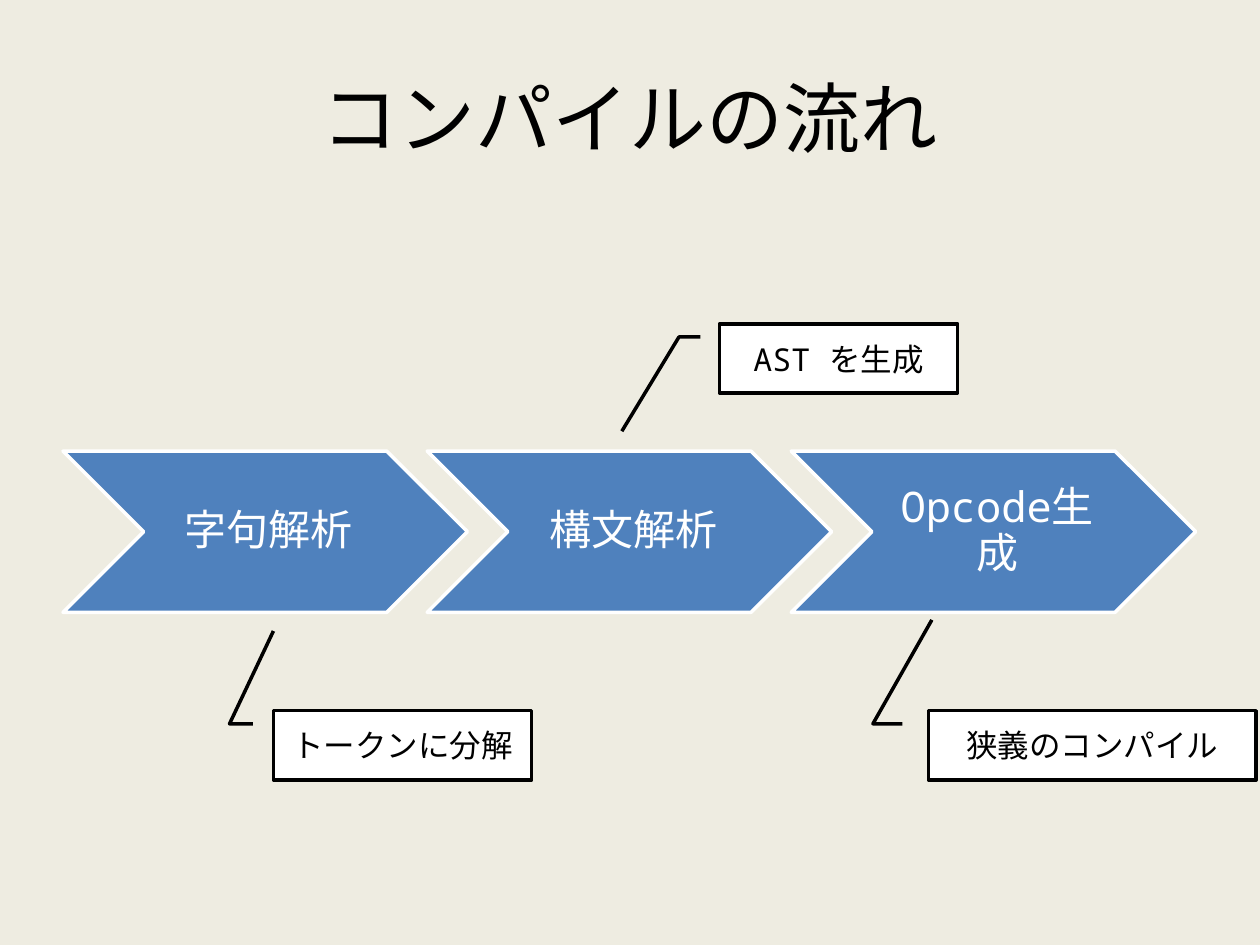
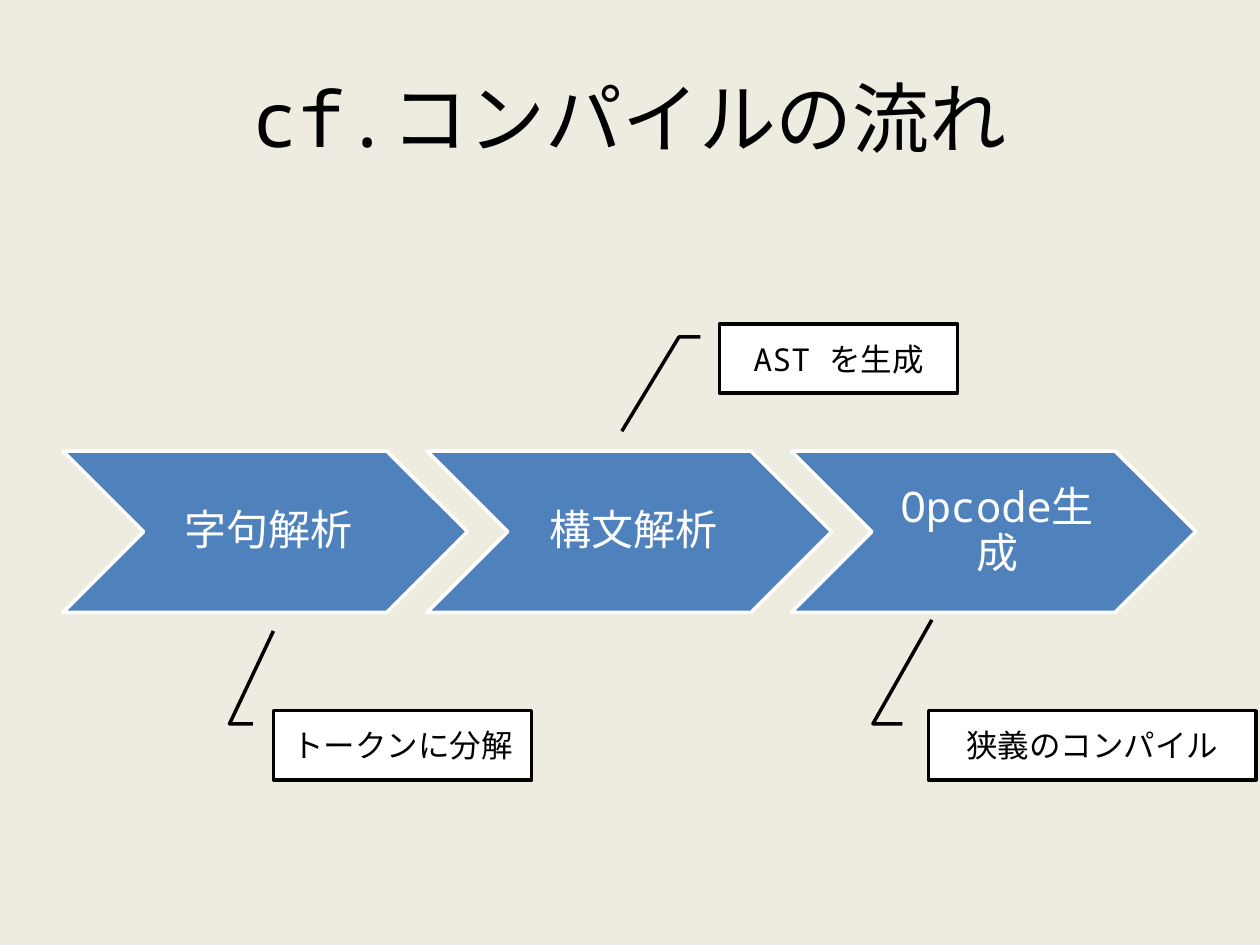
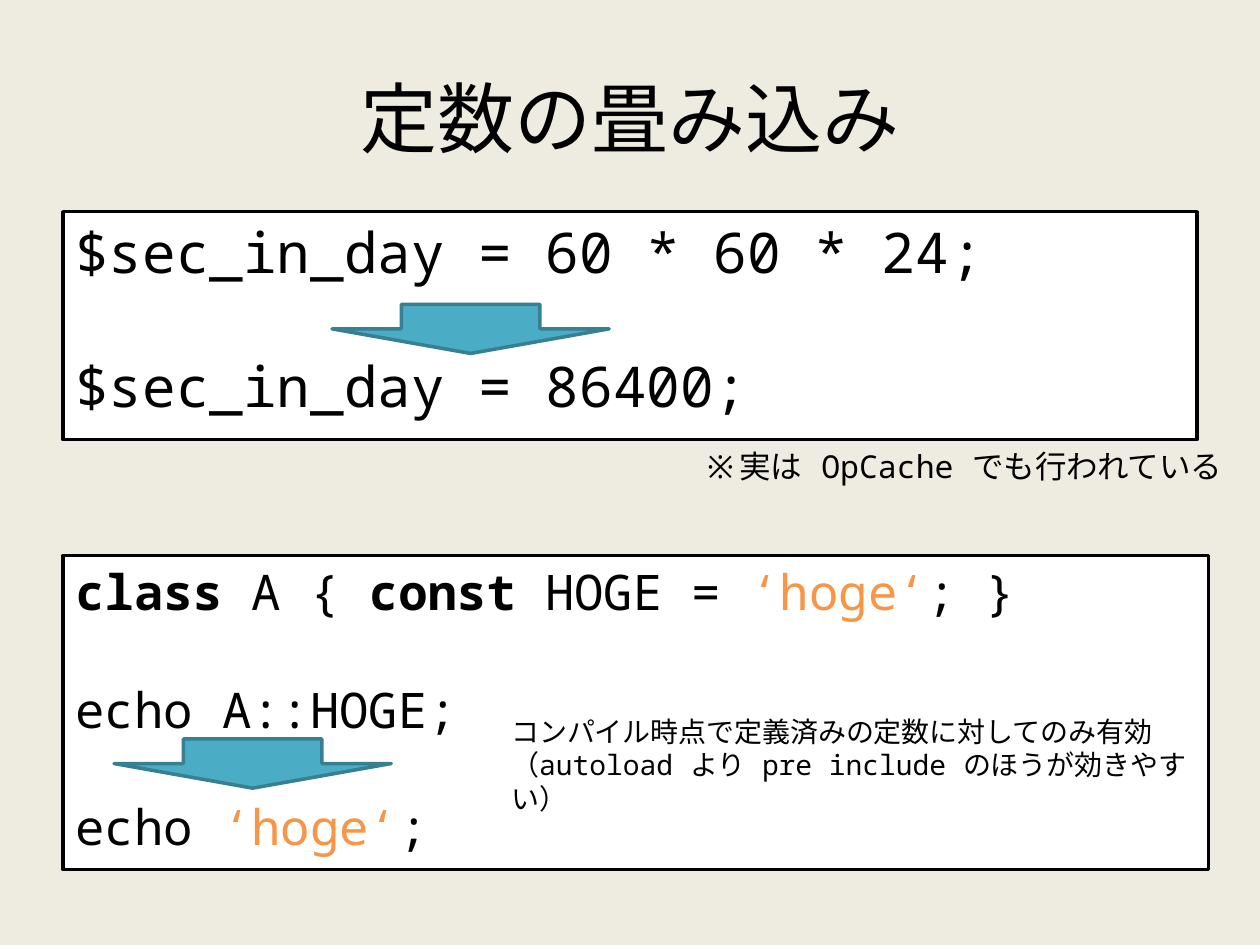
from lxml.etree import SubElement
from pptx import Presentation
from pptx.dml.color import RGBColor
from pptx.enum.lang import MSO_LANGUAGE_ID
from pptx.enum.shapes import MSO_SHAPE
from pptx.enum.text import MSO_ANCHOR, MSO_AUTO_SIZE, PP_ALIGN
from pptx.oxml.ns import qn
from pptx.util import Inches, Pt

BLACK = RGBColor(0x00, 0x00, 0x00)
WHITE = RGBColor(0xFF, 0xFF, 0xFF)
CREAM = RGBColor(0xEE, 0xEC, 0xE1)
BLUE = RGBColor(0x4F, 0x81, 0xBD)
TEAL = RGBColor(0x4B, 0xAC, 0xC6)
DARK_TEAL = RGBColor(0x37, 0x7F, 0x92)
ORANGE = RGBColor(0xF7, 0x96, 0x46)

FONT = "Noto Sans Mono"
BOLD = {"bold": True}
STRING = {"color": ORANGE}

STEPS = ["字句解析", "構文解析", "Opcode生成"]
STEP_LEFT, STEP_PITCH = 0.5, 2.89
# text, box, and where the leader ends as fractions of the box (y, x)
CALLOUTS = [
    ("狭義のコンパイル", (7.37, 5.64, 2.6, 0.55), (-1.31, 0.01)),
    ("AST を生成", (5.71, 2.57, 1.89, 0.55), (1.55, -0.41)),
    ("トークンに分解", (2.17, 5.64, 2.05, 0.55), (-1.15, 0)),
]
LEADER_START = (0.19, -0.08, 0.19, -0.17)


class Deck:
    """Holds the shared style and the slide being filled."""

    def __init__(self):
        self.prs = Presentation()
        self.prs.slide_width, self.prs.slide_height = Inches(10), Inches(7.5)
        fill = self.prs.slide_master.background.fill
        fill.solid()
        fill.fore_color.rgb = CREAM

    def new_slide(self, title):
        self.slide = self.prs.slides.add_slide(self.prs.slide_layouts[6])
        self.text((0.5, 0.3, 9, 1.25), [title], 44, align=PP_ALIGN.CENTER,
                  vertical_anchor=MSO_ANCHOR.MIDDLE)

    def fill_text(self, sp, lines, size, color=BLACK, align=PP_ALIGN.LEFT,
                  gap=0, spacing=None, **frame):
        """Each line is a string or a list of (text, font values) runs."""
        tf = sp.text_frame
        tf.word_wrap = True
        for name, value in frame.items():
            setattr(tf, name, value)
        for i, line in enumerate(lines):
            p = tf.add_paragraph() if i else tf.paragraphs[0]
            p.alignment = align
            p.line_spacing = spacing
            if i and gap:
                p.space_before = Pt(gap)
            for text, look in [(line, {})] if isinstance(line, str) else line:
                r = p.add_run()
                r.text = text
                values = {"name": FONT, "size": Pt(size), "color": color,
                          "language_id": MSO_LANGUAGE_ID.JAPANESE, **look}
                r.font.color.rgb = values.pop("color")
                for name, value in values.items():
                    setattr(r.font, name, value)
                SubElement(r.font._element, qn("a:ea"), typeface=FONT)

    def text(self, box, lines, size, **look):
        sp = self.slide.shapes.add_textbox(*map(Inches, box))
        self.fill_text(sp, lines, size, **look)

    def shape(self, kind, box, fill=WHITE, line=BLACK):
        sp = self.slide.shapes.add_shape(kind, *map(Inches, box))
        sp.shadow.inherit = False
        sp.fill.solid()
        sp.fill.fore_color.rgb = fill
        sp.line.color.rgb = line
        sp.line.width = Pt(2)
        return sp

    def step(self, left, label):
        sp = self.shape(MSO_SHAPE.CHEVRON, (left, 3.58, 3.21, 1.28), BLUE, WHITE)
        inset = Inches(0.04)
        self.fill_text(sp, [label], 24, WHITE, PP_ALIGN.CENTER, spacing=0.9,
                       vertical_anchor=MSO_ANCHOR.MIDDLE, margin_left=Inches(0.1),
                       margin_top=inset, margin_right=inset, margin_bottom=inset)

    def callout(self, label, box, tip):
        sp = self.shape(MSO_SHAPE.LINE_CALLOUT_2, box)
        for i, value in enumerate(LEADER_START + tip):
            sp.adjustments[i] = value
        self.fill_text(sp, [label], 18, align=PP_ALIGN.CENTER,
                       vertical_anchor=MSO_ANCHOR.MIDDLE)

    def code(self, box, lines, size, gap):
        sp = self.shape(MSO_SHAPE.RECTANGLE, box)
        self.fill_text(sp, lines, size, gap=gap, vertical_anchor=MSO_ANCHOR.TOP)

    def note(self, box, lines, size):
        self.text(box, lines, size, auto_size=MSO_AUTO_SIZE.SHAPE_TO_FIT_TEXT)

    def down_arrow(self, left, top):
        sp = self.shape(MSO_SHAPE.RIGHT_ARROW, (left, top, 0.39, 2.2),
                        TEAL, DARK_TEAL)
        sp.rotation = 90


def compile_flow(deck, title):
    deck.new_slide(title)
    for i, label in enumerate(STEPS):
        deck.step(STEP_LEFT + i * STEP_PITCH, label)
    for callout in CALLOUTS:
        deck.callout(*callout)


def constant_folding(deck):
    deck.new_slide("定数の畳み込み")
    deck.code((0.5, 1.68, 9, 1.81),
              ["$sec_in_day = 60 * 60 * 24;", "$sec_in_day = 86400;"], 32, gap=38)
    deck.down_arrow(3.54, 1.51)
    deck.note((5.47, 3.5, 4.37, 0.4), ["※実は OpCache でも行われている"], 18)
    deck.code((0.5, 4.41, 9.09, 2.49), [
        [("class", BOLD), (" A { ", {}), ("const", BOLD), (" HOGE = ", {}),
         ("‘hoge‘", STRING), ("; }", {})],
        "echo A::HOGE;",
        [("echo ", {}), ("‘hoge‘", STRING), (";", {})],
    ], 28, gap=33.5)
    deck.note((3.96, 5.62, 5.84, 0.64),
              ["コンパイル時点で定義済みの定数に対してのみ有効",
               "（autoload より pre include のほうが効きやすい）"], 16)
    deck.down_arrow(1.81, 4.96)


def main():
    deck = Deck()
    compile_flow(deck, "コンパイルの流れ")
    compile_flow(deck, "cf.コンパイルの流れ")
    constant_folding(deck)
    deck.prs.save("out.pptx")


if __name__ == "__main__":
    main()
